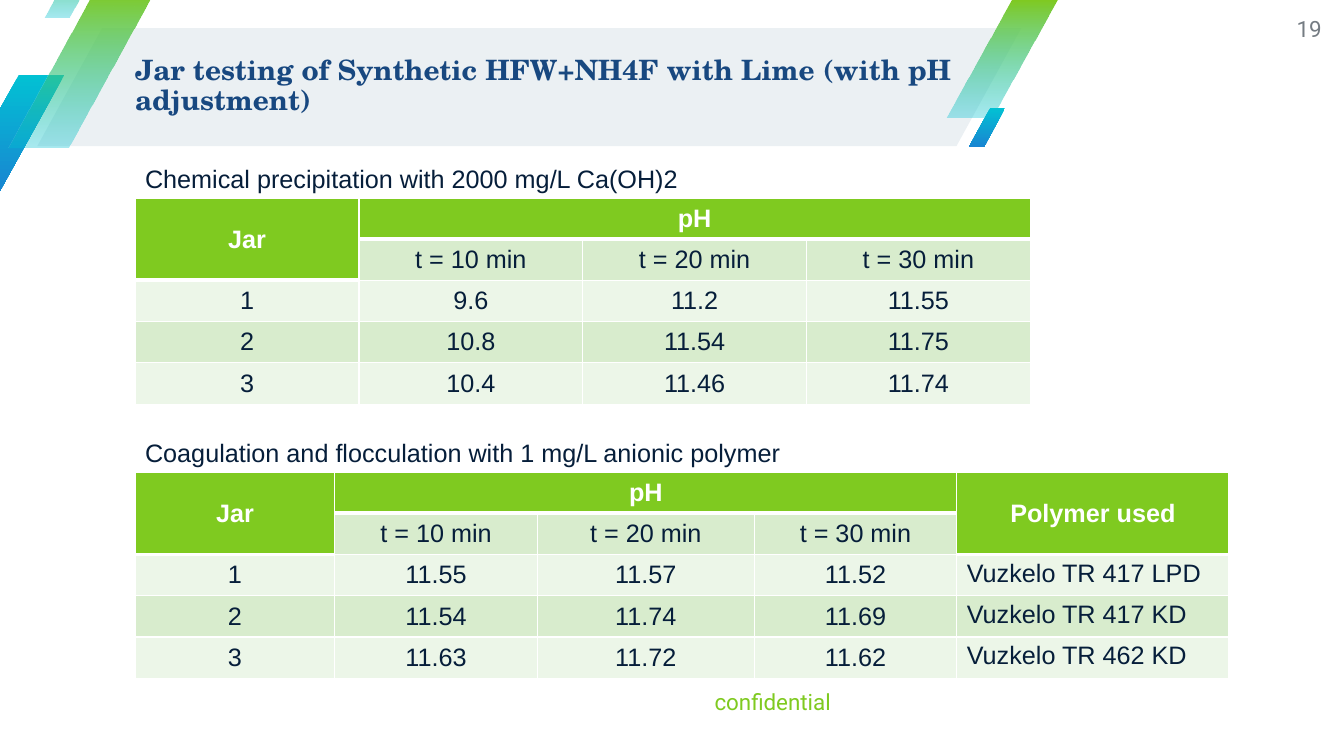
from lxml import etree
from pptx import Presentation
from pptx.dml.color import RGBColor
from pptx.enum import shapes, text
from pptx.oxml.ns import qn
from pptx.util import Inches, Pt

GREEN = RGBColor(0x7F, 0xCA, 0x20)
TEAL = RGBColor(0x02, 0xC1, 0xD3)
BLUE = RGBColor(0x19, 0x85, 0xD2)
PALE = RGBColor(0xEB, 0xF0, 0xF3)
NAVY = RGBColor(0x18, 0x48, 0x80)
INK = RGBColor(0x06, 0x1E, 0x3A)
GRAY = RGBColor(0x75, 0x7C, 0x83)
WHITE = RGBColor(0xFF, 0xFF, 0xFF)
BAND = RGBColor(0xD8, 0xEC, 0xCD)
LIGHT = RGBColor(0xEC, 0xF6, 0xE8)

LEFT, MID, RIGHT = (text.PP_ALIGN.LEFT, text.PP_ALIGN.CENTER,
                    text.PP_ALIGN.RIGHT)
TIMES = ["t = 10 min", "t = 20 min", "t = 30 min"]


def style(par, size, face, color, bold=False, align=LEFT):
    par.alignment = align
    for run in par.runs:
        font = run.font
        font.size, font.name, font.bold = Pt(size), face, bold
        font.color.rgb = color


def place(shape, box):
    shape.left, shape.top, shape.width, shape.height = map(Inches, box)


def add_bar(slide, box, slant, top, base=None, alpha=100):
    """Slanted bar, plain or shaded from top to base."""
    bar = slide.shapes.add_shape(shapes.MSO_SHAPE.PARALLELOGRAM,
                                 *map(Inches, box))
    bar.adjustments[0] = slant
    bar.shadow.inherit = False
    bar.line.fill.background()
    if base is None:
        bar.fill.solid()
        bar.fill.fore_color.rgb = top
        return
    bar.fill.gradient()
    bar.fill.gradient_angle = 270
    for stop, color, spot in zip(bar.fill.gradient_stops, (top, base), (0, 1)):
        stop.color.rgb = color
        stop.position = spot
    if alpha < 100:
        last = bar.element.spPr.findall(".//" + qn("a:srgbClr"))[-1]
        etree.SubElement(last, qn("a:alpha"), val=str(alpha * 1000))


def add_banner(slide, box):
    """Title band with the slanted bars around it."""
    x, y, w, h = box
    add_bar(slide, box, 0.55, PALE)
    fade = (GREEN, TEAL, 34)
    deep = (TEAL, BLUE, 100)
    bars = [(-0.83, 0.46, 1.1, 1.17, deep), (9.02, -0.28, 1.1, 1.17, fade),
            (-0.29, -0.38, 1.46, 1.56, fade), (0.07, -0.76, 0.61, 0.65, fade),
            (9.24, 0.79, 0.36, 0.39, deep)]
    for dx, dy, bw, bh, look in bars:
        add_bar(slide, (x + dx, y + dy, bw, bh), 0.59, *look)
    # Title, in front of the band
    title = slide.shapes.title
    slide.shapes.element.append(title.element)
    place(title, (x + 0.97, y - 0.02, w - 0.97, h + 0.02))
    frame = title.text_frame
    frame.text = "Jar testing of Synthetic HFW+NH4F with Lime (with pH adjustment)"
    frame.word_wrap = True
    frame.auto_size = text.MSO_AUTO_SIZE.NONE
    frame.vertical_anchor = text.MSO_ANCHOR.MIDDLE
    frame.margin_left = frame.margin_right = 0
    frame.margin_top = frame.margin_bottom = 0
    frame.paragraphs[0].line_spacing = 0.9
    style(frame.paragraphs[0], 20, "TeX Gyre Schola", NAVY, True)


def add_mark(slide, box, words, color):
    """Right-aligned page mark."""
    frame = slide.shapes.add_textbox(*map(Inches, box)).text_frame
    frame.text = words
    frame.word_wrap = True
    frame.vertical_anchor = text.MSO_ANCHOR.MIDDLE
    frame.margin_left = frame.margin_right = 0
    frame.margin_top = frame.margin_bottom = 0
    style(frame.paragraphs[0], 16, "Roboto", color, align=RIGHT)


def add_edges(cell, base):
    props = cell._tc.get_or_add_tcPr()
    for side, width in zip("LRTB", (1, 1, 1, base)):
        line = etree.SubElement(props, qn("a:ln" + side), w=str(Pt(width)))
        fill = etree.SubElement(line, qn("a:solidFill"))
        etree.SubElement(fill, qn("a:srgbClr"), val=str(WHITE))


def add_table(slide, box, caption, cols, rows):
    """Caption with a two-row header table below it."""
    x, y, w, h = box
    note = slide.shapes.add_textbox(*map(Inches, (x, y, w, 0.4))).text_frame
    note.text = caption
    note.word_wrap = False
    style(note.paragraphs[0], 18, "Arial", INK)

    table = slide.shapes.add_table(
        len(rows), len(cols), *map(Inches, (x, y + 0.4, w, h - 0.4))).table
    table.horz_banding = False
    for col, width in zip(table.columns, cols):
        col.width = Inches(width)
    for i, row in enumerate(table.rows):
        row.height = Inches(0.41 if i else 0.39)
    table.cell(0, 0).merge(table.cell(1, 0))
    table.cell(0, 1).merge(table.cell(0, 3))
    if len(cols) > 4:
        table.cell(0, 4).merge(table.cell(1, 4))

    for i, row in enumerate(rows):
        for j, words in enumerate(row):
            cell = table.cell(i, j)
            head = i == 0 or cell.is_spanned
            name = i > 1 and j == 4
            add_edges(cell, 3 if head else 1)
            cell.fill.solid()
            cell.fill.fore_color.rgb = GREEN if head else (LIGHT, BAND)[i % 2]
            if cell.is_spanned:
                continue
            cell.text = words
            cell.vertical_anchor = (text.MSO_ANCHOR.TOP if name
                                    else text.MSO_ANCHOR.MIDDLE)
            style(cell.text_frame.paragraphs[0], 18, "Arial",
                  WHITE if head else INK, head, LEFT if name else MID)


def main():
    deck = Presentation()
    deck.slide_width, deck.slide_height = Inches(13.33), Inches(7.5)
    slide = deck.slides.add_slide(deck.slide_layouts[5])
    add_banner(slide, (0.37, 0.28, 9.76, 1.17))
    add_mark(slide, (4.67, 6.67, 3.57, 0.57), "confidential", GREEN)
    add_mark(slide, (12.48, 0, 0.63, 0.57), "19", GRAY)
    add_table(slide, (1.34, 1.57, 8.88, 2.43),
              "Chemical precipitation with 2000 mg/L Ca(OH)2", [2.22] * 4,
              [["Jar", "pH", "", ""],
               [""] + TIMES,
               ["1", "9.6", "11.2", "11.55"],
               ["2", "10.8", "11.54", "11.75"],
               ["3", "10.4", "11.46", "11.74"]])
    add_table(slide, (1.34, 4.29, 10.85, 2.43),
              "Coagulation and flocculation with 1 mg/L anionic polymer",
              [1.98, 2.01, 2.15, 2.01, 2.7],
              [["Jar", "pH", "", "", "Polymer used"],
               [""] + TIMES + [""],
               ["1", "11.55", "11.57", "11.52", "Vuzkelo TR 417 LPD"],
               ["2", "11.54", "11.74", "11.69", "Vuzkelo TR 417 KD"],
               ["3", "11.63", "11.72", "11.62", "Vuzkelo TR 462 KD"]])
    deck.save("out.pptx")


if __name__ == "__main__":
    main()
